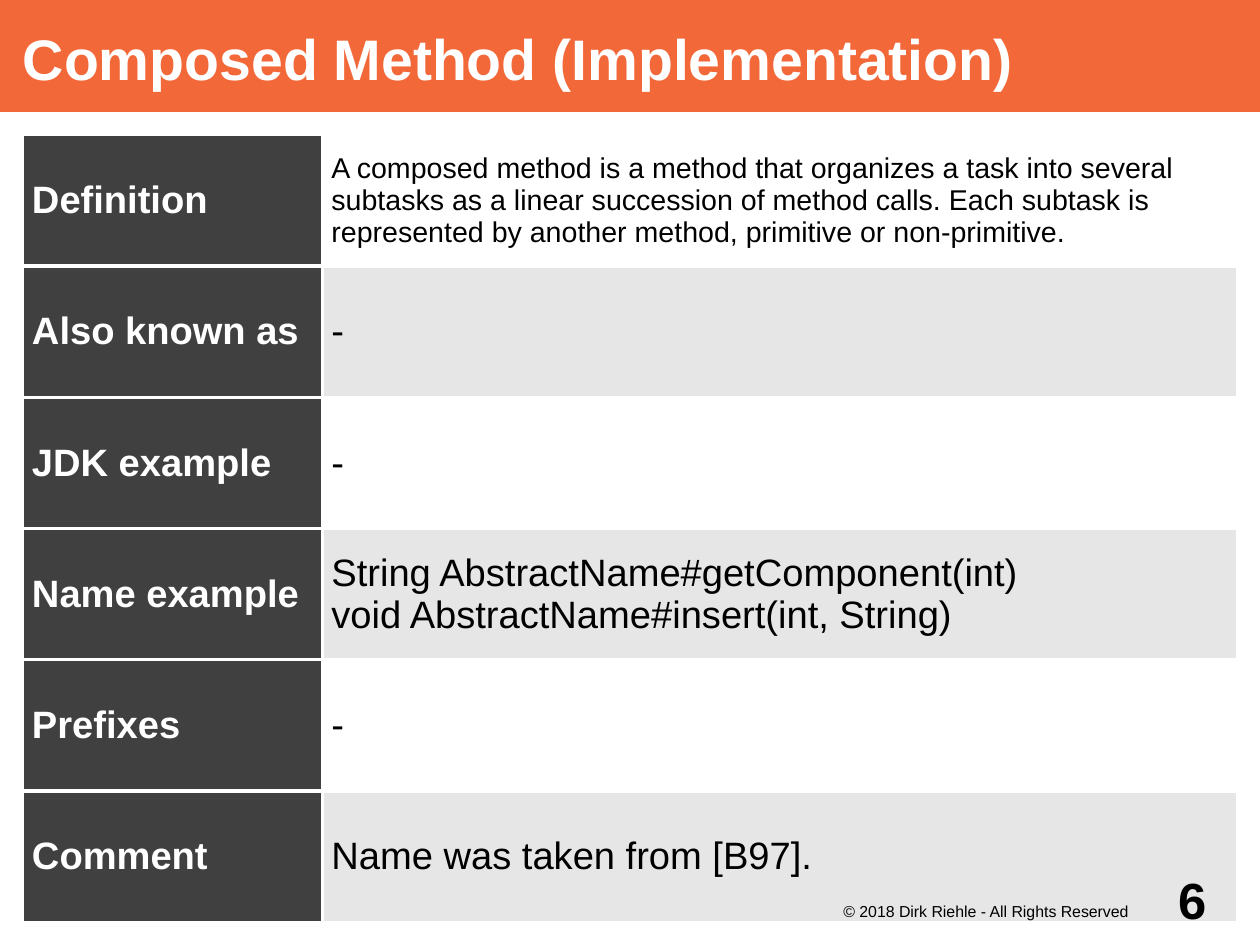
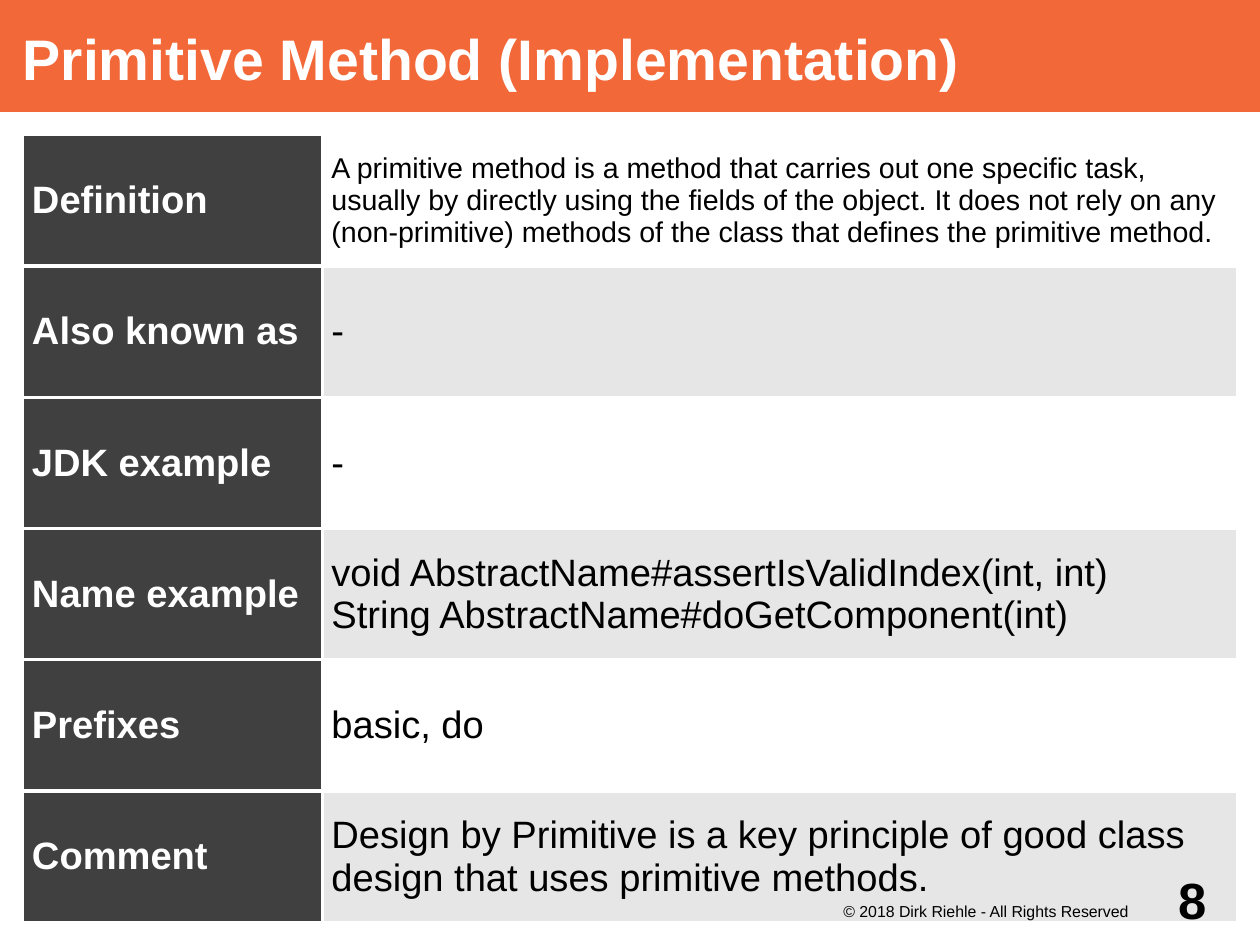
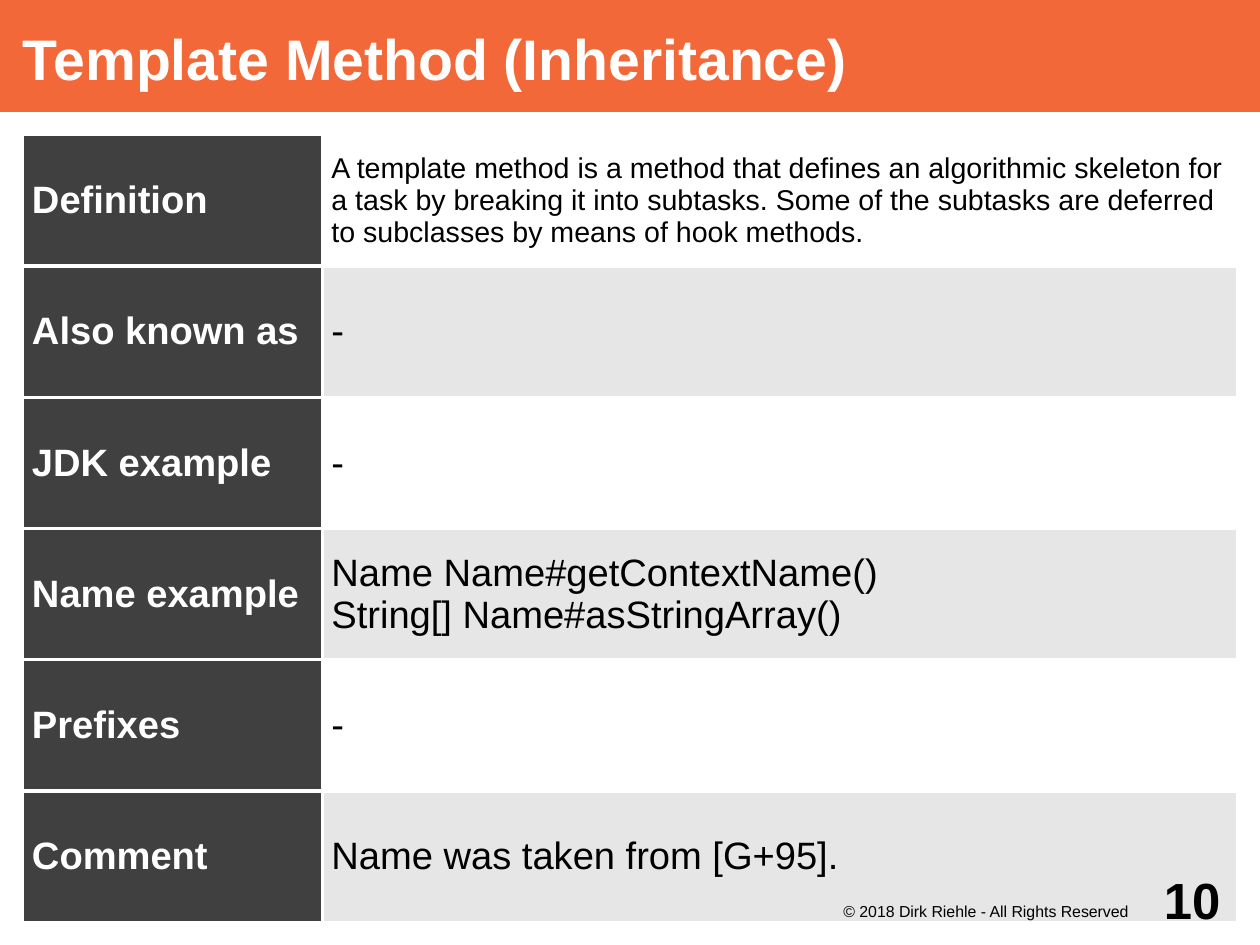
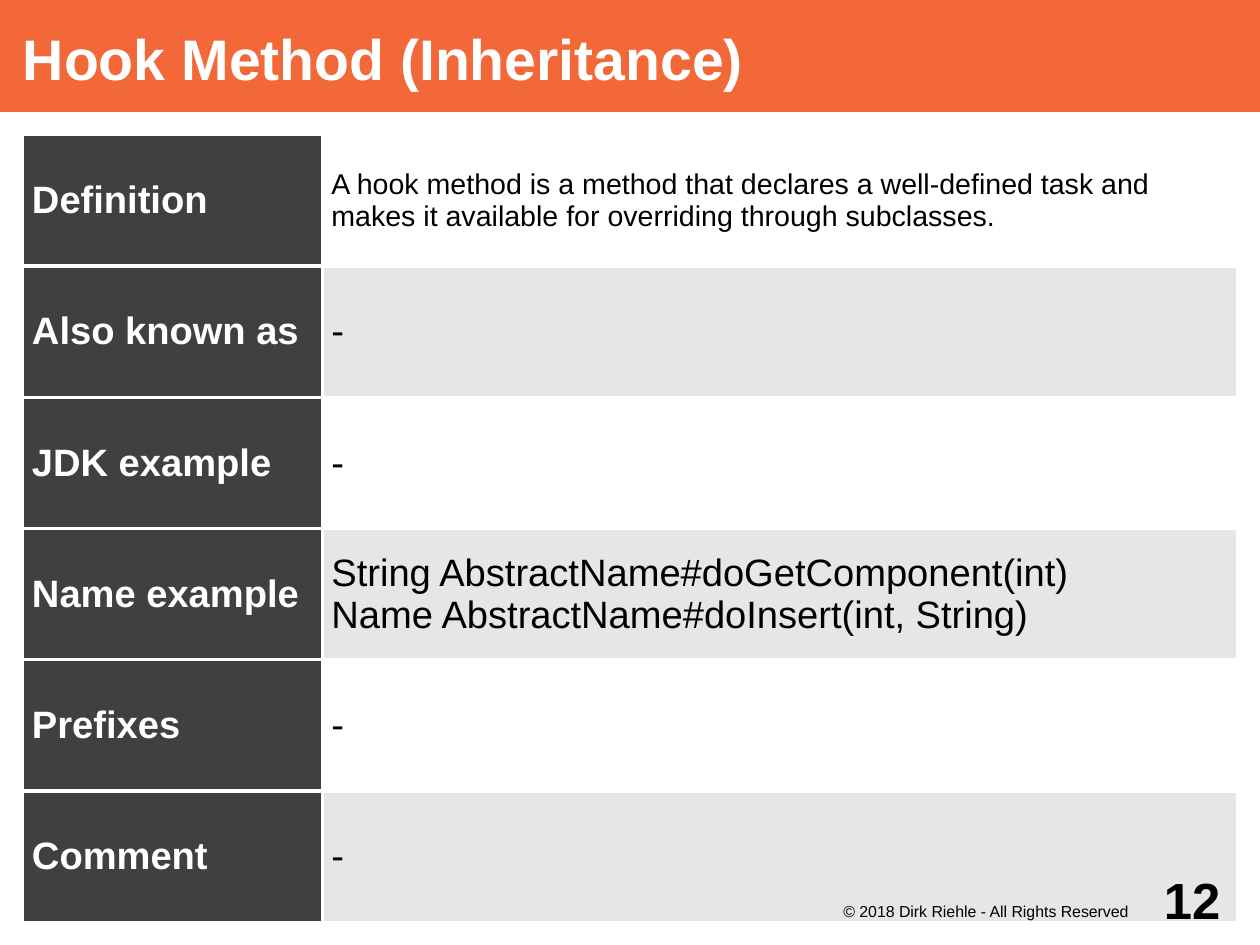
from lxml import etree
from pptx import Presentation
from pptx.dml.color import RGBColor
from pptx.enum.shapes import MSO_SHAPE
from pptx.enum.text import MSO_ANCHOR as ANCHOR, PP_ALIGN as ALIGN
from pptx.oxml.ns import qn
from pptx.util import Inches, Pt

ORANGE = RGBColor(0xF3, 0x68, 0x38)
DARK = RGBColor(0x40, 0x40, 0x40)
GRAY = RGBColor(0xE6, 0xE6, 0xE6)
WHITE = RGBColor(0xFF, 0xFF, 0xFF)
BLACK = RGBColor(0x00, 0x00, 0x00)

# Shared text styles
TITLE = {"size": Pt(36), "bold": True, "color": WHITE}
LABEL = {"size": Pt(24), "bold": True, "color": WHITE}
DEFINITION = {"size": Pt(18), "bold": False, "color": BLACK}
VALUE = {"size": Pt(24), "bold": False, "color": BLACK}
FOOTER = {"size": Pt(10), "bold": False, "color": BLACK}
NUMBER = {"size": Pt(32), "bold": True, "color": BLACK}

LABELS = ["Definition", "Also known as", "JDK example", "Name example", "Prefixes", "Comment"]
COPYRIGHT = "© 2018 Dirk Riehle - All Rights Reserved"
SIDES = ("left", "top", "right", "bottom")

# Page number, title, and one value per label
SLIDES = [
    (6, "Composed Method (Implementation)", [
        "A composed method is a method that organizes a task into several subtasks as a linear "
        "succession of method calls. Each subtask is represented by another method, primitive "
        "or non-primitive.",
        "-", "-",
        "String AbstractName#getComponent(int)\nvoid AbstractName#insert(int, String)",
        "-", "Name was taken from [B97]."]),
    (8, "Primitive Method (Implementation)", [
        "A primitive method is a method that carries out one specific task, usually by directly "
        "using the fields of the object. It does not rely on any (non-primitive) methods of the "
        "class that defines the primitive method.",
        "-", "-",
        "void AbstractName#assertIsValidIndex(int, int)\nString AbstractName#doGetComponent(int)",
        "basic, do",
        "Design by Primitive is a key principle of good class design that uses primitive methods."]),
    (10, "Template Method (Inheritance)", [
        "A template method is a method that defines an algorithmic skeleton for a task by breaking "
        "it into subtasks. Some of the subtasks are deferred to subclasses by means of hook methods.",
        "-", "-",
        "Name Name#getContextName()\nString[] Name#asStringArray()",
        "-", "Name was taken from [G+95]."]),
    (12, "Hook Method (Inheritance)", [
        "A hook method is a method that declares a well-defined task and makes it available for "
        "overriding through subclasses.",
        "-", "-",
        "String AbstractName#doGetComponent(int)\nName AbstractName#doInsert(int, String)",
        "-", "-"]),
]


def write(box, text, style, margins, anchor=ANCHOR.MIDDLE, align=ALIGN.LEFT):
    """Fill a shape or table cell with styled paragraphs."""
    tf = box.text_frame
    tf.word_wrap = True
    # Cells carry their own margins and anchor; shapes keep them on the text frame
    holder = box if hasattr(box, "is_spanned") else tf
    for side, margin in zip(SIDES, margins):
        setattr(holder, f"margin_{side}", Inches(margin))
    holder.vertical_anchor = anchor
    tf.text = text
    for p in tf.paragraphs:
        p.alignment = align
        for r in p.runs:
            r.font.name = "Arial"
            for key, value in style.items():
                if key == "color":
                    r.font.color.rgb = value
                else:
                    setattr(r.font, key, value)


def paint(cell, color):
    """Give a table cell white borders and a solid fill."""
    tcPr = cell._tc.get_or_add_tcPr()
    for tag in ("a:lnL", "a:lnR", "a:lnT", "a:lnB"):
        ln = etree.SubElement(tcPr, qn(tag), w=str(Pt(2.27)))
        fill = etree.SubElement(ln, qn("a:solidFill"))
        etree.SubElement(fill, qn("a:srgbClr"), val=str(WHITE))
    cell.fill.solid()
    cell.fill.fore_color.rgb = color


# The page is 28 by 21 cm
prs = Presentation()
prs.slide_width = Inches(28 / 2.54)
prs.slide_height = Inches(21 / 2.54)

for number, title, values in SLIDES:
    s = prs.slides.add_slide(prs.slide_layouts[6])

    # Title band
    band = s.shapes.add_shape(MSO_SHAPE.RECTANGLE, 0, 0, prs.slide_width, Inches(0.98))
    band.shadow.inherit = False
    band.fill.solid()
    band.fill.fore_color.rgb = ORANGE
    band.line.fill.background()
    write(band, title, TITLE, (0.2, 0.02, 0, 0))

    # Pattern table
    table = s.shapes.add_table(len(LABELS), 2, Inches(0.2), Inches(1.18),
                               Inches(10.63), Inches(6.89)).table
    table.first_row = table.horz_banding = False
    for column, width in zip(table.columns, (2.62, 8.01)):
        column.width = Inches(width)
    for row, (label, value) in enumerate(zip(LABELS, values)):
        value_style = VALUE if row else DEFINITION
        value_fill = GRAY if row % 2 else WHITE
        for col, (text, style, fill) in enumerate([(label, LABEL, DARK),
                                                   (value, value_style, value_fill)]):
            cell = table.cell(row, col)
            write(cell, text, style, (0.08, 0.05, 0.08, 0.05))
            paint(cell, fill)

    # Footer and page number
    footer = s.shapes.add_textbox(Inches(7.09), Inches(7.87), Inches(3.15), Inches(0.39))
    write(footer, COPYRIGHT, FOOTER, (0, 0.02, 0.08, 0), ANCHOR.TOP, ALIGN.CENTER)
    page = s.shapes.add_textbox(Inches(10.04), Inches(7.47), Inches(0.98), Inches(0.79))
    write(page, str(number), NUMBER, (0, 0, 0.2, 0), align=ALIGN.CENTER)

prs.save("out.pptx")
